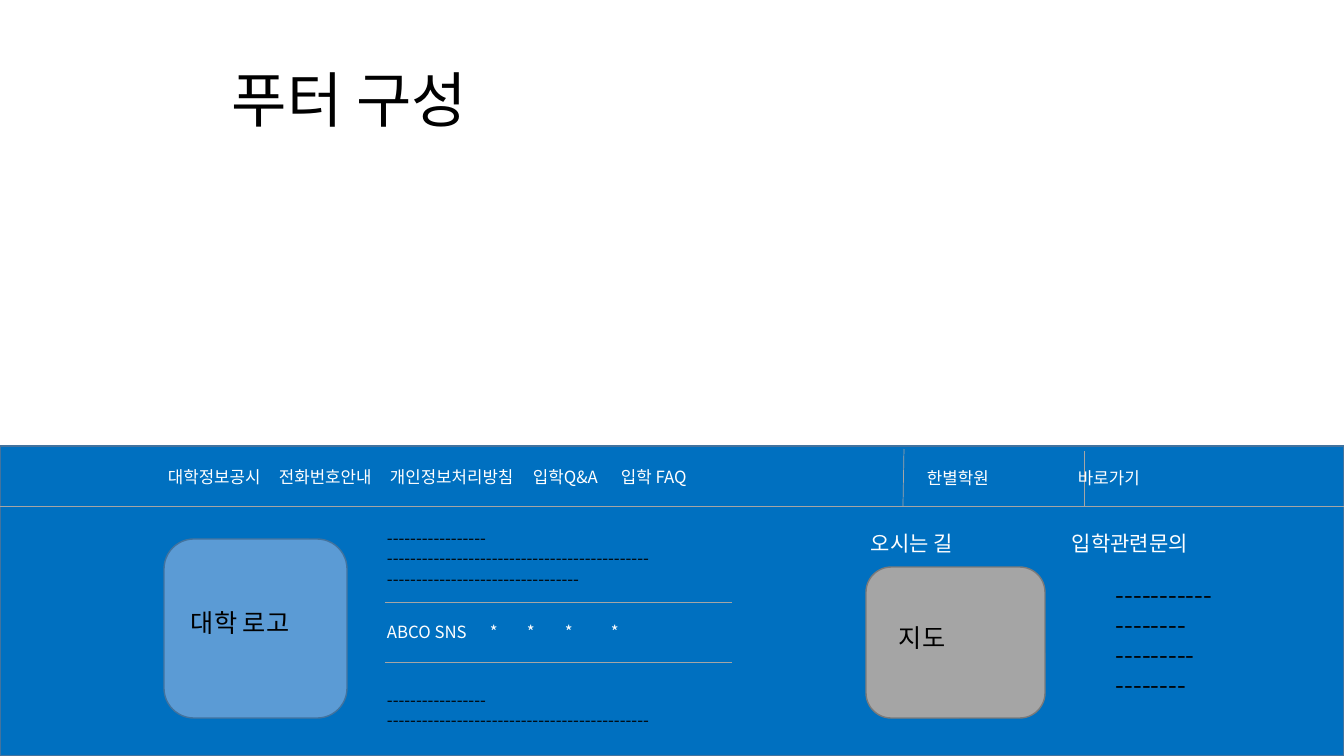
from lxml import etree
from pptx import Presentation
from pptx import util as u
from pptx.dml.color import RGBColor
from pptx.enum import shapes, text
from pptx.oxml.ns import qn

WIDE, HIGH = 1344, 756
SCALE = u.Inches(40 / 3) / WIDE
FONT = "Noto Sans CJK KR"
HEX = {
    "bar": "0070C0", "edge": "43739E", "logo": "5B9BD5",
    "gray": "A5A5A5", "rim": "7A7A7A", "white": "FFFFFF", "black": "000000",
}


def px(n):
    return u.Emu(round(n * SCALE))


def rgb(name):
    return RGBColor.from_string(HEX[name])


def fill_text(box, lines, size, color):
    """Write one paragraph per line, flush with the box's top left."""
    frame = box.text_frame
    frame.margin_left = frame.margin_right = 0
    frame.margin_top = frame.margin_bottom = 0
    frame.vertical_anchor = text.MSO_ANCHOR.TOP
    frame.auto_size = text.MSO_AUTO_SIZE.NONE
    frame.word_wrap = True
    frame.text = "\n".join(lines)
    for par in frame.paragraphs:
        par.alignment = text.PP_ALIGN.LEFT
        par.line_spacing = u.Pt(round(size * 1.2, 1))
        par.space_before = u.Pt(0)
        font = par.font
        font.size = u.Pt(size)
        font.color.rgb = rgb(color)
        font.name = FONT
        # Korean letters take the East Asian typeface
        props = par._p.pPr.find(qn("a:defRPr"))
        etree.SubElement(props, qn("a:ea")).set("typeface", FONT)


def add_text(slide, x, y, w, lines, size=12, color="white"):
    high = round(len(lines) * size * 1.7)
    box = slide.shapes.add_textbox(px(x), px(y), px(w), px(high))
    fill_text(box, lines, size, color)


def add_row(slide, y, items, size=12):
    for x, label in items:
        add_text(slide, x, y, 160, [label], size)


def add_box(slide, kind, x, y, w, h, fill, edge):
    box = slide.shapes.add_shape(kind, px(x), px(y), px(w), px(h))
    box.shadow.inherit = False
    box.fill.solid()
    box.fill.fore_color.rgb = rgb(fill)
    box.line.color.rgb = rgb(edge)
    box.line.width = u.Pt(1)


def add_line(slide, x1, y1, x2, y2):
    line = slide.shapes.add_connector(
        shapes.MSO_CONNECTOR.STRAIGHT, px(x1), px(y1), px(x2), px(y2))
    line.line.color.rgb = rgb("gray")
    line.line.width = u.Pt(0.5)
    etree.SubElement(line._element.spPr, qn("a:effectLst"))


def main():
    deck = Presentation()
    deck.slide_width, deck.slide_height = px(WIDE), px(HIGH)
    slide = deck.slides.add_slide(deck.slide_layouts[5])
    rect = shapes.MSO_SHAPE.RECTANGLE
    round_box = shapes.MSO_SHAPE.ROUNDED_RECTANGLE

    # Title
    title = slide.shapes.title
    title.left, title.top = px(232), px(62)
    title.width, title.height = px(586), px(73)
    fill_text(title, ["푸터 구성"], 43, "black")

    # Footer ground and its dividers
    add_box(slide, rect, 0, 446, WIDE, 310, "bar", "edge")
    add_line(slide, 0, 506, WIDE, 506)
    add_line(slide, 903, 506, 904, 449)
    add_line(slide, 1084, 506, 1084, 451)

    # Menu
    add_row(slide, 467, [
        (168, "대학정보공시"), (279, "전화번호안내"), (390, "개인정보처리방침"),
        (533, "입학Q&A"), (621, "입학 FAQ")])
    add_row(slide, 468, [(927, "한별학원"), (1078, "바로가기")])

    # Logo area
    add_box(slide, round_box, 164, 539, 183, 179, "logo", "edge")
    add_text(slide, 191, 607, 130, ["대학 로고"], 18, "black")

    # Address, social links and copyright lines
    add_text(slide, 387, 528, 357, ["-" * n for n in (17, 45, 33)], 12, "black")
    for y in (602, 662):
        add_line(slide, 385, y, 732, y)
    add_row(slide, 622, [(387, "ABCO SNS")]
            + [(x, "*") for x in (490, 527, 565, 611)])
    add_text(slide, 387, 690, 357, ["-" * n for n in (17, 45)], 12, "black")

    # Map and contact
    add_row(slide, 531, [(871, "오시는 길"), (1072, "입학관련문의")], 15)
    add_box(slide, round_box, 866, 567, 179, 151, "gray", "rim")
    add_text(slide, 899, 622, 120, ["지도"], 18, "black")
    add_text(slide, 1116, 579, 180, ["-" * n for n in (11, 8, 9, 8)], 18, "black")

    deck.save("out.pptx")


if __name__ == "__main__":
    main()
